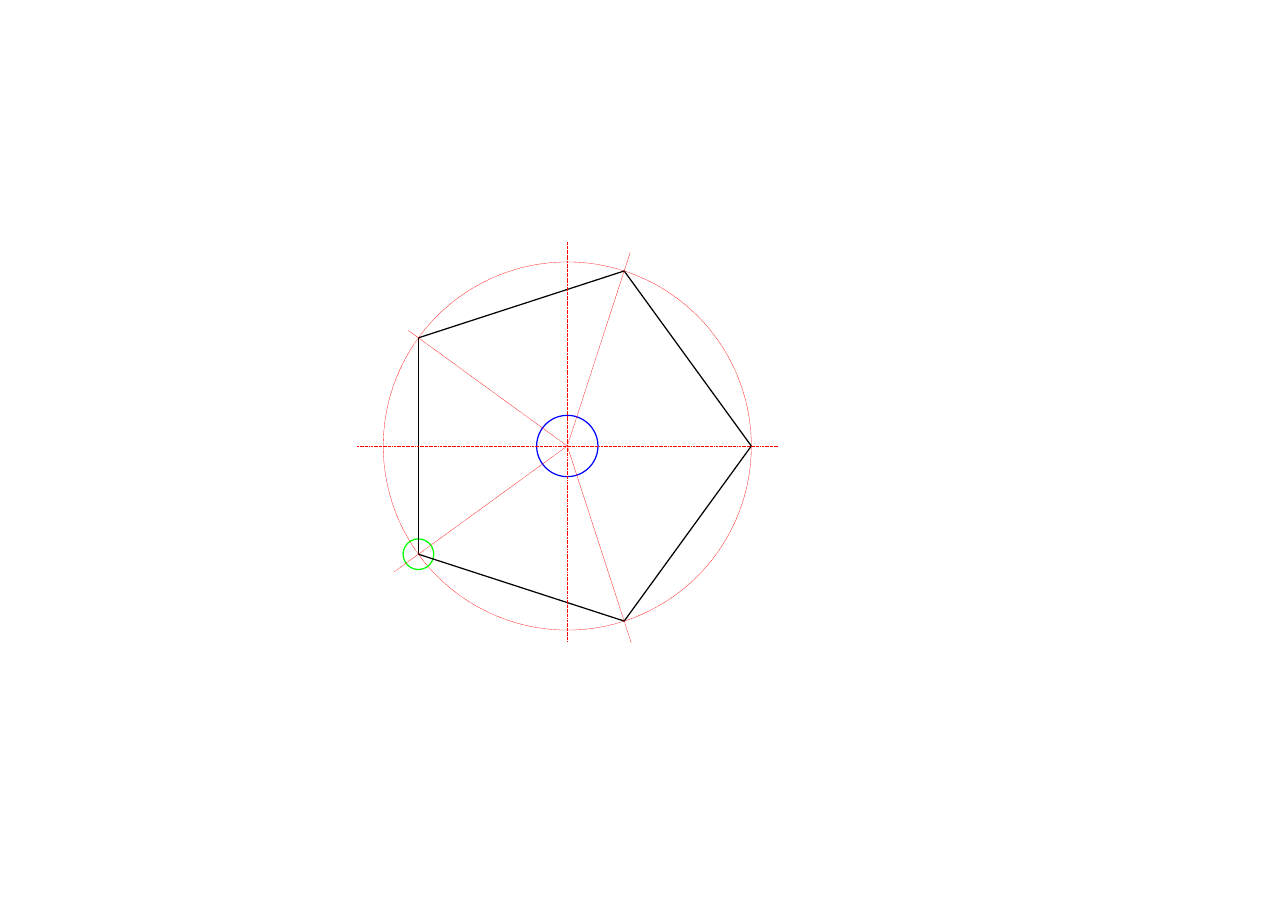
from math import cos, radians, sin
from lxml.etree import SubElement
from pptx import Presentation
from pptx.dml.color import RGBColor
from pptx.enum.dml import MSO_LINE
from pptx.enum.shapes import MSO_CONNECTOR, MSO_SHAPE
from pptx.oxml.ns import qn
from pptx.util import Pt

CX, CY, RADIUS = 524.4, 412.2, 170.1
THIN, THICK = 0.28, 1.13


def style_line(sp, color, width, dash=None):
    sp.line.color.rgb = RGBColor.from_string(color)
    sp.line.width = Pt(width)
    if dash:
        sp.line.dash_style = dash
    SubElement(sp.element.spPr, qn("a:effectLst"))


def polar(distance, angle):
    return CX + distance * cos(radians(angle)), CY + distance * sin(radians(angle))


prs = Presentation()
prs.slide_width, prs.slide_height = Pt(1190.55), Pt(841.89)
s = prs.slides.add_slide(prs.slide_layouts[6])

vertices = [polar(RADIUS, 72 * i) for i in range(5)]

circles = [
    ((CX, CY), RADIUS, "FF0000", THIN, MSO_LINE.ROUND_DOT),
    ((CX, CY), 28.35, "0000FF", THICK, None),
    (vertices[2], 14.17, "00FF00", THICK, None),
]
for (x, y), radius, color, width, dash in circles:
    sp = s.shapes.add_shape(MSO_SHAPE.OVAL, Pt(x - radius), Pt(y - radius),
                            Pt(2 * radius), Pt(2 * radius))
    sp.fill.background()
    style_line(sp, color, width, dash)

edges = [(vertices[i - 1], vertices[i], "000000", THICK, None) for i in range(5)]
axes = [
    ((329.8, CY), (719.5, CY), "FF0000", THIN, MSO_LINE.LONG_DASH_DOT),
    ((CX, 223.9), (CX, 593.3), "FF0000", THIN, MSO_LINE.LONG_DASH_DOT),
]
spoke_lengths = {72: 191.5, 288: 188, 216: 181.5, 144: 198}
spokes = [((CX, CY), polar(length, angle), "FF0000", THIN, MSO_LINE.ROUND_DOT)
          for angle, length in spoke_lengths.items()]
for start, end, color, width, dash in edges + axes + spokes:
    sp = s.shapes.add_connector(MSO_CONNECTOR.STRAIGHT, *map(Pt, start + end))
    style_line(sp, color, width, dash)

prs.save("out.pptx")
